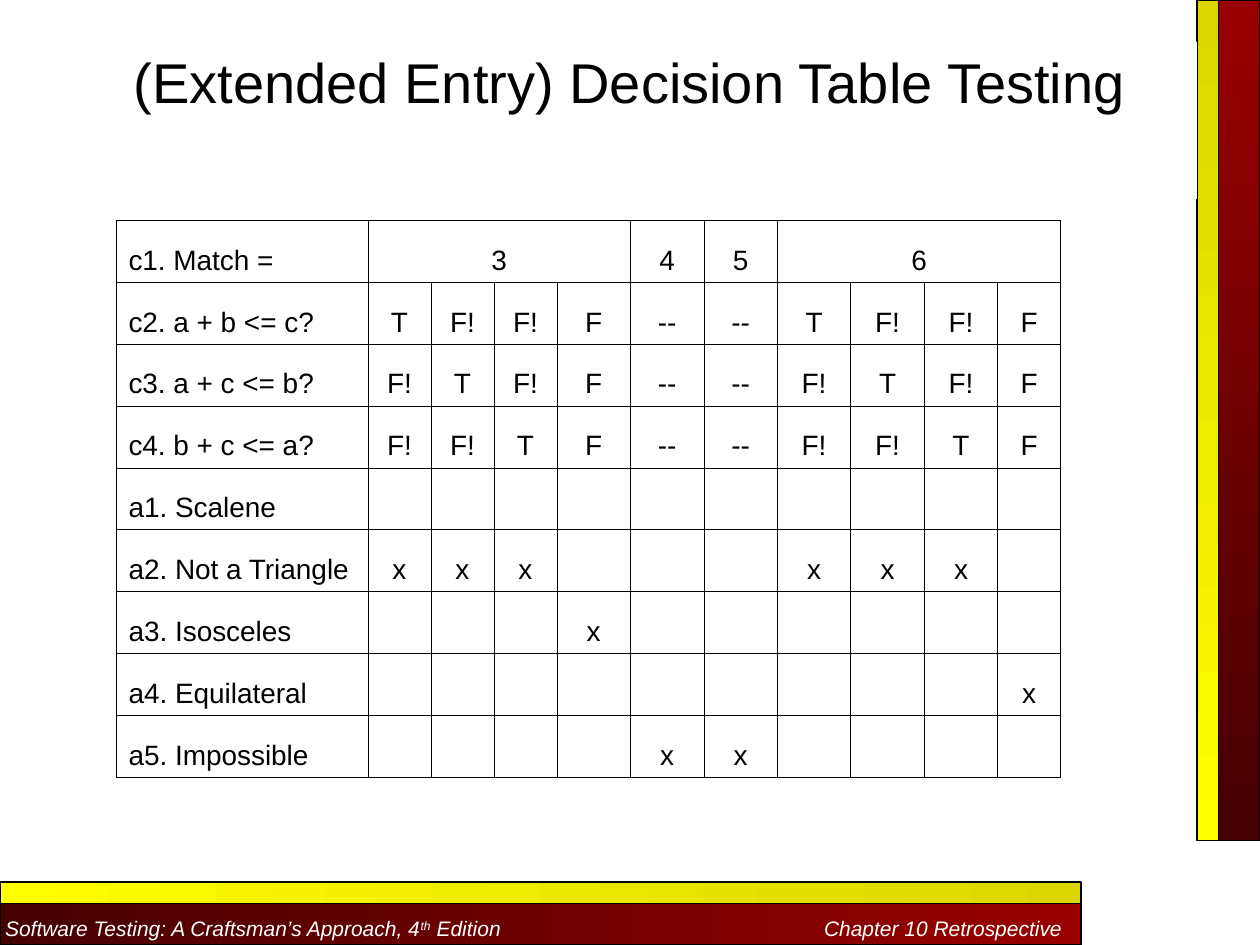
from dataclasses import dataclass

from lxml.etree import SubElement
from pptx import Presentation
from pptx.dml.color import RGBColor as RGB
from pptx.enum.shapes import MSO_SHAPE as Shape
from pptx.enum.text import MSO_ANCHOR as Anchor, PP_ALIGN as Align
from pptx.oxml.ns import qn
from pptx.util import Inches, Pt


@dataclass(frozen=True)
class Theme:
    font: str = "Arial"
    ink: str = "000000"
    paper: str = "FFFFFF"
    red: tuple = ("990000", "460000")
    gold: tuple = ("DBD600", "FFFF00")
    title: int = 32
    body: int = 16
    foot: int = 12
    edge: float = 0.75
    rule: float = 0.45


THEME = Theme()
WIDE, HIGH = 10, 7.5
THIN, THICK = 0.17, 0.33
SIDE, BASE = 6.67, 8.58

HEAD = [("c1. Match =", 1), ("3", 4), ("4", 1), ("5", 1), ("6", 4)]
RULES = [
    ("c2. a + b <= c?", "T F! F! F -- -- T F! F! F".split()),
    ("c3. a + c <= b?", "F! T F! F -- -- F! T F! F".split()),
    ("c4. b + c <= a?", "F! F! T F -- -- F! F! T F".split()),
]
# Each action is marked under the rule columns listed here.
ACTS = [
    ("a1. Scalene", ()),
    ("a2. Not a Triangle", (1, 2, 3, 7, 8, 9)),
    ("a3. Isosceles", (4,)),
    ("a4. Equilateral", (10,)),
    ("a5. Impossible", (5, 6)),
]


def add_run(para, text, size, color, italic=False):
    run = para.add_run()
    run.text = text
    font = run.font
    font.name, font.size, font.italic = THEME.font, Pt(size), italic
    font.color.rgb = RGB.from_string(color)
    return run


def set_pad(frame, left, top, right, base):
    frame.margin_left, frame.margin_top = Inches(left), Inches(top)
    frame.margin_right, frame.margin_bottom = Inches(right), Inches(base)


def add_bar(slide, box, colors, angle):
    bar = slide.shapes.add_shape(Shape.RECTANGLE, *map(Inches, box))
    bar.shadow.inherit = False
    bar.fill.gradient()
    bar.fill.gradient_angle = angle
    for stop, color in zip(bar.fill.gradient_stops, colors):
        stop.color.rgb = RGB.from_string(color)
    bar.line.color.rgb = RGB.from_string(THEME.ink)
    bar.line.width = Pt(THEME.edge)
    return bar


def add_side(slide, left, top, width, height):
    add_bar(slide, (left + THIN, top, width - THIN, height), THEME.red, 270)
    add_bar(slide, (left, top, THIN, height), THEME.gold, 270)


def add_foot(slide, left, top, width, height):
    box = (left, top + THIN, width, height - THIN)
    bar = add_bar(slide, box, THEME.red[::-1], 0)
    add_bar(slide, (left, top, width, THIN), THEME.gold[::-1], 0)
    frame = bar.text_frame
    frame.word_wrap = False
    frame.vertical_anchor = Anchor.MIDDLE
    set_pad(frame, 0.04, 0.07, 0, 0)
    para = frame.paragraphs[0]
    para.alignment = Align.LEFT
    tabs = SubElement(para._p.get_or_add_pPr(), qn("a:tabLst"))
    SubElement(tabs, qn("a:tab"), pos=str(Inches(6.5)), algn="l")
    parts = ["Software Testing: A Craftsman’s Approach, 4", "th",
             " Edition", "\t", "Chapter 10 Retrospective"]
    for part in parts:
        run = add_run(para, part, THEME.foot, THEME.paper, True)
        if part == "th":
            run._r.get_or_add_rPr().set("baseline", "30000")


def add_title(slide, left, top, width, height):
    box = slide.shapes.add_textbox(*map(Inches, (left, top, width, height)))
    box.fill.solid()
    box.fill.fore_color.rgb = RGB.from_string(THEME.paper)
    frame = box.text_frame
    frame.word_wrap = True
    set_pad(frame, 0.1, 0.05, 0.1, 0.05)
    para = frame.paragraphs[0]
    para.alignment = Align.CENTER
    add_run(para, "(Extended Entry) Decision Table Testing",
            THEME.title, THEME.ink)


def style_cell(cell):
    props = cell._tc.get_or_add_tcPr()
    for side in ("lnL", "lnR", "lnT", "lnB"):
        line = SubElement(props, qn(f"a:{side}"), w=str(Pt(THEME.rule)))
        fill = SubElement(line, qn("a:solidFill"))
        SubElement(fill, qn("a:srgbClr"), val=THEME.ink)
    cell.fill.background()
    cell.vertical_anchor = Anchor.BOTTOM
    set_pad(cell, 0.1, 0.05, 0.1, 0.05)


def fill_cell(cell, text, align):
    para = cell.text_frame.paragraphs[0]
    para.alignment = align
    if text:
        add_run(para, text, THEME.body, THEME.ink)
    else:
        para.font.size = Pt(THEME.body)


def add_grid(slide, left, top, width, height):
    first, slim = 2, 0.5
    broad = (width - first - 4 * slim) / 6
    cols = [first] + [slim] * 3 + [broad] * 6 + [slim]
    top_row = []
    for text, span in HEAD:
        top_row += [text] + [""] * (span - 1)
    rows = [top_row] + [[name, *marks] for name, marks in RULES]
    for name, hits in ACTS:
        marks = ["x" if col in hits else "" for col in range(1, len(cols))]
        rows.append([name, *marks])

    box = map(Inches, (left, top, width, height))
    table = slide.shapes.add_table(len(rows), len(cols), *box).table
    table.first_row = table.horz_banding = False
    for col, size in zip(table.columns, cols):
        col.width = Inches(size)
    for row, texts in zip(table.rows, rows):
        row.height = Inches(height / len(rows))
        for num, (cell, text) in enumerate(zip(row.cells, texts)):
            style_cell(cell)
            fill_cell(cell, text, Align.CENTER if num else Align.LEFT)
    start = 0
    for _, span in HEAD:
        if span > 1:
            table.cell(0, start).merge(table.cell(0, start + span - 1))
        start += span


def main():
    deck = Presentation()
    deck.slide_width, deck.slide_height = Inches(WIDE), Inches(HIGH)
    slide = deck.slides.add_slide(deck.slide_layouts[6])
    band = THIN + THICK
    add_side(slide, WIDE - band, 0, band, SIDE)
    add_foot(slide, 0, HIGH - band, BASE, band)
    add_title(slide, 0.5, 0.33, 9, 1.25)
    add_grid(slide, 0.92, 1.75, 7.5, 4.42)
    deck.save("out.pptx")


if __name__ == "__main__":
    main()
